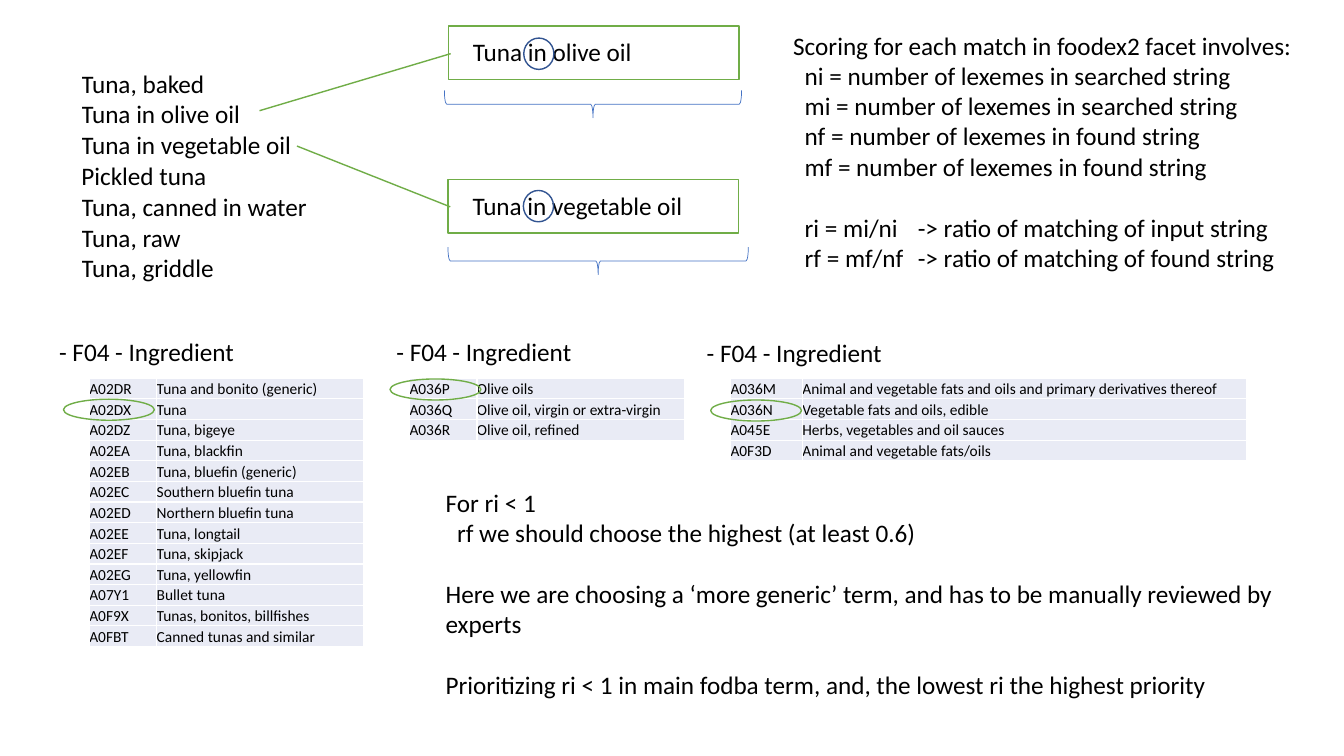
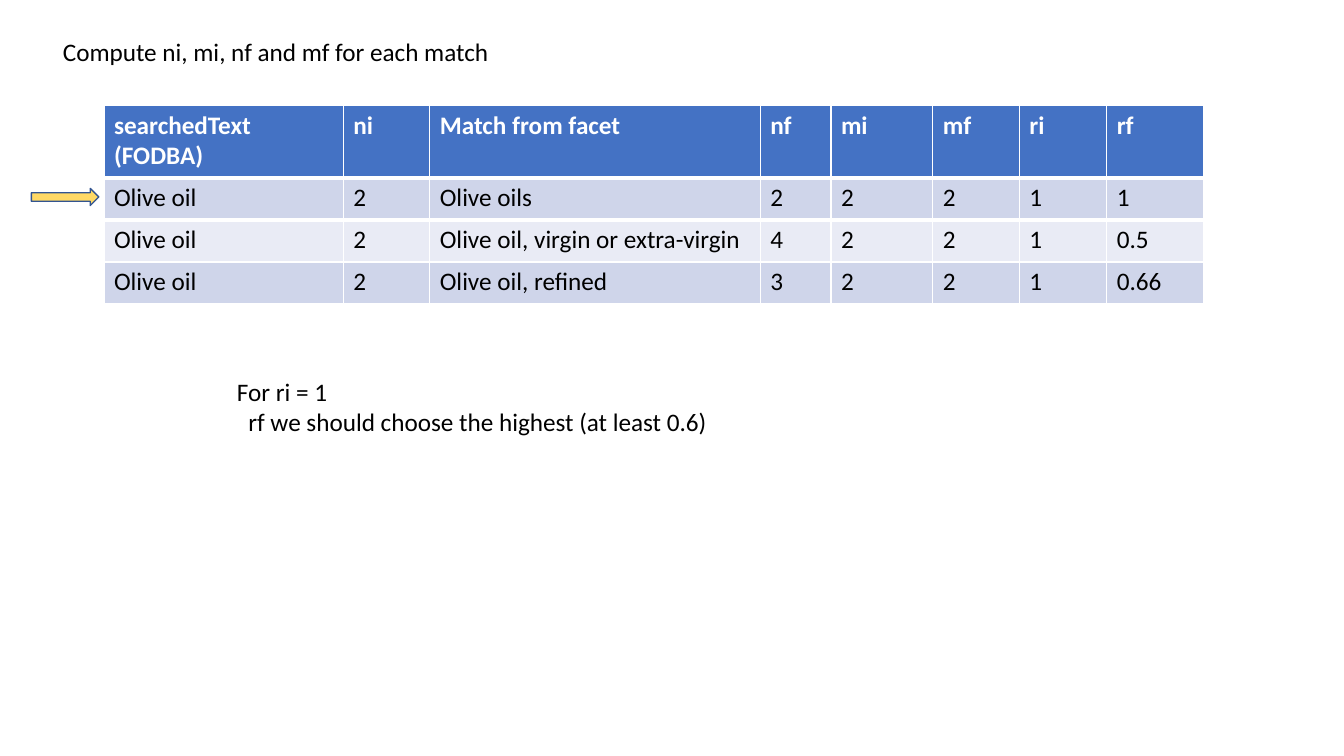
import pptx
import pptx.util
import pptx.dml.color
import pptx.enum.shapes
import pptx.enum.text
import lxml.etree

Cm, Pt = pptx.util.Cm, pptx.util.Pt
RGB = pptx.dml.color.RGBColor
SHAPE = pptx.enum.shapes.MSO_SHAPE
ALIGN = pptx.enum.text.PP_ALIGN
ANCHOR = pptx.enum.text.MSO_ANCHOR

BLACK = RGB(0x00, 0x00, 0x00)
WHITE = RGB(0xFF, 0xFF, 0xFF)
GREEN = RGB(0x70, 0xAD, 0x47)
BLUE = RGB(0x44, 0x72, 0xC4)
NAVY = RGB(0x32, 0x54, 0x91)
GOLD = RGB(0xFF, 0xD9, 0x66)
PALE = RGB(0xE9, 0xEB, 0xF5)
MIST = RGB(0xCF, 0xD5, 0xEA)
SPACE = "{http://schemas.openxmlformats.org/drawingml/2006/main}"
FONT = "Calibri"
SIZE = 18
INDENT = Cm(0.29)
GAP = Pt(22)
TAB = Cm(2.85)

# the first cell holds two paragraphs
FOODS = ["Tuna, baked\nTuna in olive oil", "Tuna in vegetable oil",
         "Pickled tuna", "Tuna, canned in water", "Tuna, raw",
         "Tuna, griddle"]

# text, left, top, callout adjustments
CALLS = [
    ("Tuna in vegetable oil", 11.29, 4.52, (0.514, 0.008, -0.622, -0.52)),
    ("Tuna in olive oil", 11.3, 0.66, (0.514, 0.008, 1.578, -0.65)),
]
BRACES = [(11.29, 6.23, 7.57), (11.2, 2.28, 7.49)]
RINGS = [(13.2, 0.96), (13.19, 4.8)]

# heading place, table place, column widths, oval place, rows
FACETS = [
    ((1.24, 8.35), (2.25, 9.53), (1.7, 5.22), (1.6, 10.06), [
        ("A02DR", "Tuna and bonito (generic)"),
        ("A02DX", "Tuna"),
        ("A02DZ", "Tuna, bigeye"),
        ("A02EA", "Tuna, blackfin"),
        ("A02EB", "Tuna, bluefin (generic)"),
        ("A02EC", "Southern bluefin tuna"),
        ("A02ED", "Northern bluefin tuna"),
        ("A02EE", "Tuna, longtail"),
        ("A02EF", "Tuna, skipjack"),
        ("A02EG", "Tuna, yellowfin"),
        ("A07Y1", "Bullet tuna"),
        ("A0F9X", "Tunas, bonitos, billfishes"),
        ("A0FBT", "Canned tunas and similar")]),
    ((9.74, 8.35), (10.32, 9.53), (1.7, 5.22), (9.83, 9.55), [
        ("A036P", "Olive oils"),
        ("A036Q", "Olive oil, virgin or extra-virgin"),
        ("A036R", "Olive oil, refined")]),
    ((17.56, 8.38), (18.41, 9.53), (1.81, 11.2), (17.91, 10.08), [
        ("A036M", "Animal and vegetable fats and oils and primary "
                  "derivatives thereof"),
        ("A036N", "Vegetable fats and oils, edible"),
        ("A045E", "Herbs, vegetables and oil sauces"),
        ("A0F3D", "Animal and vegetable fats/oils")]),
]

# text, indent level, gaps above
SCORING = [
    ("Scoring for each match in foodex2 facet involves:", 0, 0),
    ("ni = number of lexemes in searched string", 1, 0),
    ("mi = number of lexemes in searched string", 1, 0),
    ("nf = number of lexemes in found string", 1, 0),
    ("mf = number of lexemes in found string", 1, 0),
    ("ri = mi/ni\t-> ratio of matching of input string", 1, 1),
    ("rf = mf/nf\t-> ratio of matching of found string", 1, 0),
]
CHOOSE = ("rf we should choose the highest (at least 0.6)", 1, 0)
ADVICE = [
    ("For ri < 1", 0, 0),
    CHOOSE,
    ("Here we are choosing a ‘more generic’ term, and has to be manually "
     "reviewed by experts", 0, 1),
    ("Prioritizing ri < 1 in main fodba term, and, the lowest ri the "
     "highest priority", 0, 1),
]
RULE = [("For ri = 1", 0, 0), CHOOSE]

TITLE = "Compute ni, mi, nf and mf for each match"
WIDTHS = (6.03, 2.18, 8.33, 1.78, 2.57, 2.18, 2.2, 2.43)
SCORES = [
    ("searchedText\v(FODBA)", "ni", "Match from facet",
     "nf", "mi", "mf", "ri", "rf"),
    ("Olive oil", "2", "Olive oils", "2", "2", "2", "1", "1"),
    ("Olive oil", "2", "Olive oil, virgin or extra-virgin",
     "4", "2", "2", "1", "0.5"),
    ("Olive oil", "2", "Olive oil, refined", "3", "2", "2", "1", "0.66"),
]


def style(para, size=SIZE, color=BLACK, bold=False):
    para.alignment = ALIGN.LEFT
    font = para.font
    font.name, font.size, font.bold = FONT, Pt(size), bold
    font.color.rgb = color


def set_tab(para):
    tabs = lxml.etree.Element(SPACE + "tabLst")
    lxml.etree.SubElement(tabs, SPACE + "tab", pos=str(int(TAB)), algn="l")
    props = para._p.get_or_add_pPr()
    props.find(SPACE + "defRPr").addprevious(tabs)


def set_edge(cell, side, width):
    """Draw one white cell border; side is lnL, lnR, lnT or lnB."""
    edge = lxml.etree.Element(SPACE + side, w=str(int(Pt(width))))
    fill = lxml.etree.SubElement(edge, SPACE + "solidFill")
    lxml.etree.SubElement(fill, SPACE + "srgbClr", val=str(WHITE))
    props = cell._tc.get_or_add_tcPr()
    props.find(SPACE + "solidFill").addprevious(edge)


def add_text(slide, lines, *box):
    frame = slide.shapes.add_textbox(*map(Cm, box)).text_frame
    frame.word_wrap = True
    for i, (text, level, gaps) in enumerate(lines):
        para = frame.add_paragraph() if i else frame.paragraphs[0]
        para.text = text
        para.space_before = gaps * GAP
        style(para)
        para._p.get_or_add_pPr().set("marL", str(level * INDENT))
        if "\t" in text:
            set_tab(para)


def add_shape(slide, kind, box, line, width=1, fill=None):
    shape = slide.shapes.add_shape(kind, *map(Cm, box))
    shape.shadow.inherit = False
    shape.line.color.rgb = line
    shape.line.width = Pt(width)
    if fill is None:
        shape.fill.background()
    else:
        shape.fill.solid()
        shape.fill.fore_color.rgb = fill
    return shape


def add_brace(slide, left, top, width, height=0.69):
    """Draw a brace that lies flat and points down."""
    shift = (width - height) / 2
    box = (left + shift, top - shift, height, width)
    add_shape(slide, SHAPE.LEFT_BRACE, box, BLUE, 0.5).rotation = 270


def add_table(slide, rows, place, widths, heights, fills, size=SIZE,
              head=False):
    """Fill a table; a fill of None leaves the row clear."""
    box = (*place, sum(widths), sum(heights))
    table = slide.shapes.add_table(len(rows), len(widths),
                                   *map(Cm, box)).table
    table.first_row, table.horz_banding = head, False
    for col, width in zip(table.columns, widths):
        col.width = Cm(width)
    for i, (row, values) in enumerate(zip(table.rows, rows)):
        row.height = Cm(heights[i])
        top = head and i == 0
        for cell, value in zip(row.cells, values):
            cell.text = value
            if fills[i] is None:
                cell.fill.background()
            else:
                cell.fill.solid()
                cell.fill.fore_color.rgb = fills[i]
            if not head:
                cell.margin_left = cell.margin_right = 0
                cell.margin_top = cell.margin_bottom = 0
                cell.vertical_anchor = ANCHOR.BOTTOM
            elif i < 2:
                set_edge(cell, "lnB" if top else "lnT", 3)
            for para in cell.text_frame.paragraphs:
                style(para, size, WHITE if top else BLACK, top)


def build_match(deck):
    slide = deck.slides.add_slide(deck.slide_layouts[6])
    count = len(FOODS)
    add_table(slide, [(food,) for food in FOODS], (2.05, 1.74), (6.25,),
              [0.52] * count, [None] * count)
    for text, left, top, adjust in CALLS:
        call = add_shape(slide, SHAPE.LINE_CALLOUT_1,
                         (left, top, 7.32, 1.35), GREEN)
        for i, value in enumerate(adjust):
            call.adjustments[i] = value
        frame = call.text_frame
        frame.text = text
        frame.margin_left = Cm(0.62)
        frame.margin_bottom = Cm(0.18)
        frame.vertical_anchor = ANCHOR.MIDDLE
        style(frame.paragraphs[0])
    for brace in BRACES:
        add_brace(slide, *brace)
    for ring in RINGS:
        add_shape(slide, SHAPE.OVAL, (*ring, 0.76, 0.79), NAVY)
    for label, place, widths, oval, rows in FACETS:
        add_text(slide, [("- F04 - Ingredient", 0, 0)], *label, 8, 1.02)
        count = len(rows)
        add_table(slide, rows, place, widths, [0.52] * count,
                  [PALE] * count, 11)
        add_shape(slide, SHAPE.OVAL, (*oval, 2.29, 0.53), GREEN)
    add_text(slide, SCORING, 19.74, 0.63, 13.8, 6.4)
    add_text(slide, ADVICE, 10.98, 12.15, 21.54, 6.8)


def build_scores(deck):
    slide = deck.slides.add_slide(deck.slide_layouts[5])
    title = slide.shapes.title
    title.left, title.top = Cm(1.33), Cm(0.79)
    title.width, title.height = Cm(13.67), Cm(1.02)
    title.text_frame.text = TITLE
    style(title.text_frame.paragraphs[0])
    add_table(slide, SCORES, (2.62, 2.65), WIDTHS, (1.83, 1.06, 1.06, 1.06),
              (BLUE, MIST, PALE, MIST), head=True)
    add_shape(slide, SHAPE.RIGHT_ARROW, (0.79, 4.75, 1.7, 0.43), NAVY,
              fill=GOLD)
    add_text(slide, RULE, 5.72, 9.35, 22.43, 1.8)


def main():
    deck = pptx.Presentation()
    deck.slide_width, deck.slide_height = Cm(33.87), Cm(19.05)
    build_match(deck)
    build_scores(deck)
    deck.save("out.pptx")


if __name__ == "__main__":
    main()
